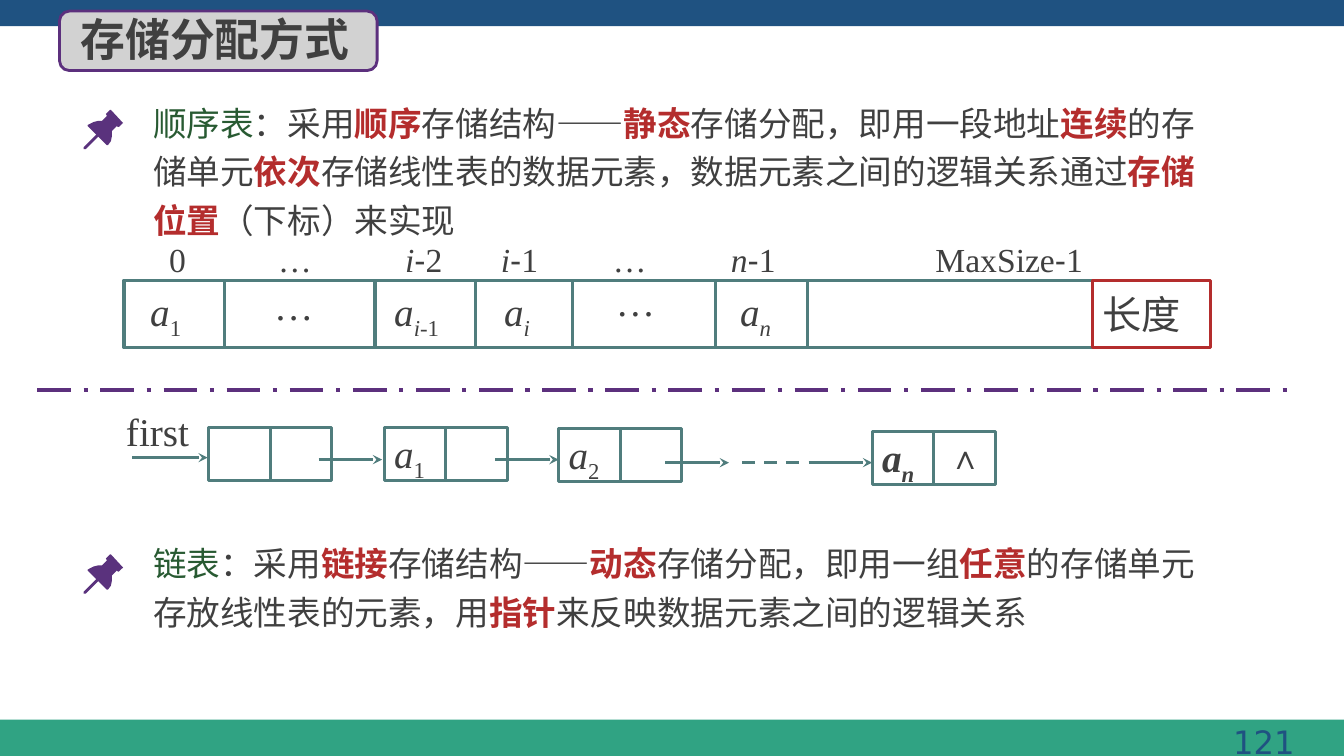
from dataclasses import dataclass

from lxml import etree
from pptx import Presentation
from pptx.dml.color import RGBColor
from pptx.enum.dml import MSO_LINE
from pptx.enum.shapes import MSO_CONNECTOR, MSO_SHAPE
from pptx.enum.text import MSO_ANCHOR, PP_ALIGN
from pptx.oxml.ns import qn
from pptx.util import Inches, Pt

RECT = MSO_SHAPE.RECTANGLE
ROUND = MSO_SHAPE.ROUNDED_RECTANGLE
STRAIGHT = MSO_CONNECTOR.STRAIGHT
DASH = MSO_LINE.DASH
DASHDOT = MSO_LINE.LONG_DASH_DOT
TOP = MSO_ANCHOR.TOP
LEFT = PP_ALIGN.LEFT
RIGHT = PP_ALIGN.RIGHT

SANS = "Noto Sans CJK SC"
SERIF = "Times New Roman"
DARK, RED, GREEN = "404040", "B42D2D", "285A32"
TEAL, PURPLE, NAVY = "507D7D", "5C307D", "1F5281"
HUES = {"r": RED, "g": GREEN}


@dataclass
class Run:
    text: str
    look: str = ""


@dataclass
class Label:
    x: float
    y: float
    w: float
    h: float
    runs: list[Run]
    size: float = 28
    face: str = SERIF
    ins: tuple[float, float] = (0, 0.05)
    hue: str = DARK
    align: int = LEFT
    gap: float = 1.0
    tabs: tuple[float, ...] = ()


@dataclass
class Node:
    x: float
    y: float
    runs: list[Run]


@dataclass
class Line:
    x: float
    y: float
    x2: float
    y2: float
    hue: str = TEAL
    width: float = 2.25
    dash: int | None = None
    arrow: bool = False


prs = Presentation()
prs.slide_width, prs.slide_height = Inches(13.33), Inches(7.5)
slide = prs.slides.add_slide(prs.slide_layouts[6])
shapes = slide.shapes


def paint(color: str) -> RGBColor:
    return RGBColor.from_string(color)


def style(font, look: str) -> None:
    for mark in look:
        if mark in HUES:
            font.color.rgb = paint(HUES[mark])
        elif mark == "b":
            font.bold = True
        elif mark == "i":
            font.italic = True
        elif mark == "h":
            font.name = "Arial"


def write(frame, label: Label) -> None:
    frame.word_wrap = True
    frame.vertical_anchor = TOP
    frame.margin_left = frame.margin_right = Inches(label.ins[0])
    frame.margin_top = frame.margin_bottom = Inches(label.ins[1])
    para = frame.paragraphs[0]
    para.alignment = label.align
    para.line_spacing = label.gap
    if label.tabs:
        stops = etree.SubElement(para._p.get_or_add_pPr(), qn("a:tabLst"))
        for stop in label.tabs:
            etree.SubElement(stops, qn("a:tab"), pos=str(Inches(stop)), algn="l")
    para.font.size = Pt(label.size)
    para.font.name = label.face
    para.font.color.rgb = paint(label.hue)
    base = set.intersection(*(set(run.look) for run in label.runs))
    style(para.font, "".join(sorted(base)))
    etree.SubElement(para._p.pPr.find(qn("a:defRPr")), qn("a:ea"), typeface=SANS)
    for item in label.runs:
        run = para.add_run()
        run.text = item.text
        style(run.font, "".join(m for m in item.look if m not in base))
        if "s" in item.look:
            run._r.get_or_add_rPr().set("baseline", "-25000")


def text(label: Label) -> None:
    box = shapes.add_textbox(*map(Inches, (label.x, label.y, label.w, label.h)))
    write(box.text_frame, label)


def box(x: float, y: float, w: float, h: float, fill: str = "",
        edge: str = "", width: float = 2.25, kind: int = RECT):
    shape = shapes.add_shape(kind, *map(Inches, (x, y, w, h)))
    shape.shadow.inherit = False
    if fill:
        shape.fill.solid()
        shape.fill.fore_color.rgb = paint(fill)
    else:
        shape.fill.background()
    if edge:
        shape.line.color.rgb = paint(edge)
        shape.line.width = Pt(width)
    else:
        shape.line.fill.background()
    return shape


def draw(line: Line):
    ends = map(Inches, (line.x, line.y, line.x2, line.y2))
    wire = shapes.add_connector(STRAIGHT, *ends)
    wire.line.color.rgb = paint(line.hue)
    wire.line.width = Pt(line.width)
    if line.dash is not None:
        wire.line.dash_style = line.dash
    if line.arrow:
        etree.SubElement(wire.line._get_or_add_ln(), qn("a:tailEnd"), type="stealth")
    etree.SubElement(wire._element.spPr, qn("a:effectLst"))
    return wire


HEAD = [(1.22, 0.13), (1.1, 0), (1.09, 0), (1.05, 0.04), (1.06, 0.06),
        (1.01, 0.11), (0.97, 0.11), (0.93, 0.12), (0.87, 0.15), (0.87, 0.16),
        (1.06, 0.35), (1.07, 0.35), (1.1, 0.31), (1.11, 0.26), (1.11, 0.21),
        (1.16, 0.16), (1.17, 0.17), (1.18, 0.17), (1.22, 0.13)]
TIP = [(0.84, 0.39), (0.83, 0.39), (0.83, 0.37), (0.96, 0.24), (0.98, 0.24),
       (0.98, 0.26), (0.85, 0.39)]


def pin(y: float) -> None:
    for part in (HEAD, TIP):
        pts = [(Inches(px), Inches(y + py)) for px, py in part]
        form = shapes.build_freeform(*pts[0])
        form.add_line_segments(pts[1:], close=True)
        shape = form.convert_to_shape()
        shape.shadow.inherit = False
        shape.fill.solid()
        shape.fill.fore_color.rgb = paint("5A327D")
        shape.line.fill.background()


def node(item: Node) -> None:
    w, h = 1.22, 0.53
    shape = box(item.x, item.y, w, h, edge=TEAL)
    if item.runs:
        write(shape.text_frame, Label(0, 0, w, h, item.runs, ins=(0.1, 0.02)))
    mid = item.x + w / 2
    wire = draw(Line(mid, item.y, mid, item.y + h))
    wire.begin_connect(shape, 0)
    wire.end_connect(shape, 2)


box(0, 7.14, 13.33, 0.36, "30A383")
box(0, 0, 13.33, 0.26, NAVY)
box(0.59, 0.11, 3.15, 0.59, "D2D2D2", PURPLE, 2, ROUND)

ARRAY = [Run("顺序表", "g"), Run("：采用"), Run("顺序", "rb"), Run("存储结构——"),
         Run("静态", "rb"), Run("存储分配，即用一段地址"), Run("连续", "rb"),
         Run("的存储单元"), Run("依次", "rb"),
         Run("存储线性表的数据元素，数据元素之间的逻辑关系通过"),
         Run("存储位置", "rb"), Run("（下标）来实现")]
CHAIN = [Run("链表", "g"), Run("：采用"), Run("链接", "rb"), Run("存储结构——"),
         Run("动态", "rb"), Run("存储分配，即用一组"), Run("任意", "rb"),
         Run("的存储单元存放线性表的元素，用"), Run("指针", "rb"),
         Run("来反映数据元素之间的逻辑关系")]
INDEX = [Run("\t0\t…\t"), Run("i", "i"), Run("-", "h"), Run("2\t"), Run("i", "i"),
         Run("-", "h"), Run("1\t…\t"), Run("n", "i"), Run("-", "h"),
         Run("1\tMaxSize"), Run("-", "h"), Run("1")]
A = Run("a", "i")
PAD = (0.1, 0.05)

for label in (
    Label(10.03, 7.11, 2.94, 0.52, [Run("121")], 23, "DejaVu Sans",
          (0.13, 0.06), NAVY, RIGHT),
    Label(0.7, 0.07, 3.05, 0.64, [Run("存储分配方式", "b")], 32, SANS, PAD),
    Label(1.42, 0.89, 10.69, 1.56, ARRAY, 24, SANS, PAD, gap=1.2),
    Label(1.42, 5.26, 10.75, 1.07, CHAIN, 24, SANS, PAD, gap=1.2),
    Label(1.29, 2.32, 10.96, 0.52, INDEX, 24, ins=PAD,
          tabs=(0.29, 1.37, 2.63, 3.58, 4.69, 5.86, 7.89)),
    Label(1.49, 2.8, 0.67, 0.57, [A, Run("1", "s")]),
    Label(2.72, 2.74, 0.67, 0.57, [Run("…")]),
    Label(3.91, 2.8, 0.75, 0.57, [A, Run("i", "is"), Run("-1", "s")]),
    Label(5, 2.8, 0.6, 0.57, [A, Run("i", "is")]),
    Label(6.11, 2.7, 0.67, 0.57, [Run("…")]),
    Label(7.34, 2.8, 0.6, 0.57, [A, Run("n", "is")]),
    Label(1.25, 4.04, 0.83, 0.51, [Run("first")], ins=(0, 0)),
    Label(9.31, 4.28, 0.57, 0.49, [Run("∧", "b")], 24, ins=PAD),
):
    text(label)

for y in (1.09, 5.5):
    pin(y)

box(1.23, 2.78, 9.61, 0.67, edge=TEAL)
for x in (2.23, 3.72, 4.72, 5.68, 7.1, 8.01):
    draw(Line(x, 2.78, x, 3.45))
size = box(10.84, 2.78, 1.17, 0.67, edge=RED)
write(size.text_frame, Label(0, 0, 1.17, 0.67, [Run("长度")], ins=(0.1, 0.1)))

draw(Line(0.37, 3.87, 12.82, 3.87, PURPLE, 3, DASHDOT))
for item in (
    Node(2.07, 4.24, []),
    Node(3.81, 4.24, [A, Run("1", "s")]),
    Node(5.54, 4.25, [A, Run("2", "s")]),
    Node(8.65, 4.28, [Run("a", "bi"), Run("n", "bis")]),
):
    node(item)
for x, y, x2 in ((1.31, 4.54, 2.06), (3.16, 4.56, 3.79), (4.91, 4.56, 5.54),
                 (6.6, 4.59, 7.23), (8.02, 4.59, 8.65)):
    draw(Line(x, y, x2, y, arrow=True))
draw(Line(7.36, 4.59, 7.98, 4.59, dash=DASH))

prs.save("out.pptx")
